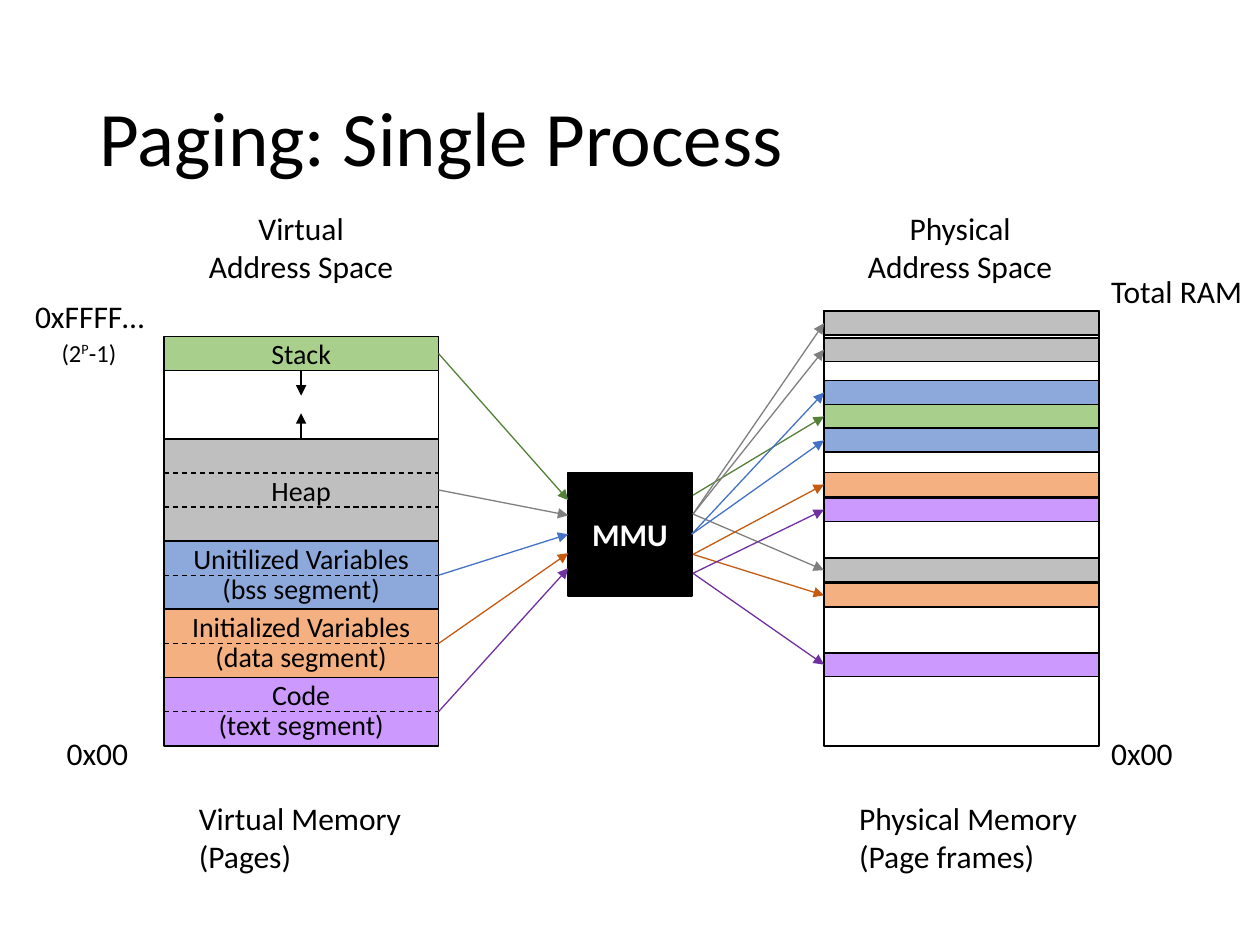
from dataclasses import dataclass
from typing import Optional

from lxml import etree
from pptx import Presentation
from pptx import util as u
from pptx.dml.color import RGBColor
from pptx.enum import dml, shapes, text
from pptx.oxml.ns import qn

BLACK, WHITE = "000000", "FFFFFF"
FONT = "Calibri"
LEFT, RIGHT = 1, 3  # connection sites of a rectangle
VIRTUAL_X, PHYSICAL_X, MEMORY_W = 1.3, 6.54, 2.18
VIRTUAL_TOP, MEMORY_BOTTOM, PAGE_COUNT = 2.67, 5.92, 12
PAGE_H = (MEMORY_BOTTOM - VIRTUAL_TOP) / PAGE_COUNT
PHYSICAL_TOP, FRAME_H = 2.47, 0.19
MMU_X, MMU_Y, MMU_SIZE = 4.51, 3.75, 0.98


@dataclass
class Segment:
    lines: list[str]
    pages: int
    fill: str
    arrow: Optional[str] = None
    entry: float = 0  # height at which its arrow meets the MMU
    exit: float = 0  # height at which its mappings leave the MMU
    frames: tuple[float, ...] = ()  # tops of its page frames


@dataclass
class Label:
    left: float
    top: float
    width: float
    height: float
    lines: list[str]
    size: float = 18
    centred: bool = False


SEGMENTS = [
    Segment(["Stack"], 1, "A8D08C", "548135", 3.97, 3.93, (3.21,)),
    Segment([], 2, WHITE),
    Segment(["Heap"], 3, "BFBFBF", "7F7F7F", 4.09, 4.08, (2.47, 2.68, 4.43)),
    Segment(["Unitilized Variables (bss segment)"], 2, "8DA9DB", "4472C4",
            4.24, 4.24, (3.02, 3.4)),
    Segment(["Initialized Variables", "(data segment)"], 2, "F4B081", "C55A11",
            4.39, 4.4, (3.75, 4.63)),
    Segment(["Code", "(text segment)"], 2, "CC99FF", "7030A0",
            4.51, 4.55, (3.95, 5.18)),
]

LABELS = [
    Label(1.48, 6.29, 1.82, 0.71, ["Virtual Memory", "(Pages)"]),
    Label(6.72, 6.29, 1.95, 0.71, ["Physical Memory", "(Page frames)"]),
    Label(8.72, 5.78, 0.69, 0.4, ["0x00"]),
    Label(8.72, 2.11, 1.25, 0.4, ["Total RAM"]),
    Label(0.18, 2.31, 1.07, 0.4, ["0xFFFF…"]),
    Label(0.43, 5.78, 0.69, 0.4, ["0x00"]),
    Label(1, 1.61, 2.78, 0.71, ["Virtual", "Address Space"], centred=True),
    Label(6.19, 1.61, 2.86, 0.71, ["Physical", "Address Space"], centred=True),
]


def colour(value: str) -> RGBColor:
    return RGBColor.from_string(value)


def write(frame, lines: list[str], size: float, ink: str = BLACK,
          centred: bool = False, spacing: Optional[float] = None,
          bold: bool = False) -> None:
    for index, line in enumerate(lines):
        para = frame.add_paragraph() if index else frame.paragraphs[0]
        para.add_run().text = line
        para.font.name, para.font.size = FONT, u.Pt(size)
        para.font.bold = bold
        para.font.color.rgb = colour(ink)
        para.alignment = text.PP_ALIGN.CENTER if centred else text.PP_ALIGN.LEFT
        para.line_spacing = spacing


def add_block(page, left: float, top: float, width: float, height: float, fill: str):
    block = page.shapes.add_shape(
        shapes.MSO_SHAPE.RECTANGLE, u.Inches(left), u.Inches(top),
        u.Inches(width), u.Inches(height))
    block.shadow.inherit = False
    block.fill.solid()
    block.fill.fore_color.rgb = colour(fill)
    block.line.color.rgb = colour(BLACK)
    block.line.width = u.Pt(1)
    block.text_frame.vertical_anchor = text.MSO_ANCHOR.MIDDLE
    return block


def add_line(page, start: tuple[float, float], end: tuple[float, float],
             ink: str = BLACK, dashed: bool = False):
    line = page.shapes.add_connector(
        shapes.MSO_CONNECTOR.STRAIGHT, u.Inches(start[0]), u.Inches(start[1]),
        u.Inches(end[0]), u.Inches(end[1]))
    line.line.color.rgb = colour(ink)
    line.line.width = u.Pt(0.75)
    if dashed:
        line.line.dash_style = dml.MSO_LINE.DASH
    else:
        etree.SubElement(line.line._get_or_add_ln(), qn("a:tailEnd"), type="triangle")
    etree.SubElement(line._element.spPr, qn("a:effectLst"))
    return line


def add_label(page, label: Label):
    box = page.shapes.add_textbox(u.Inches(label.left), u.Inches(label.top),
                                  u.Inches(label.width), u.Inches(label.height))
    box.text_frame.word_wrap = label.centred
    write(box.text_frame, label.lines, label.size, centred=label.centred)
    return box


def add_mappings(page, segment: Segment, block, mmu) -> None:
    """Draw a segment's page frames and its arrows through the MMU."""
    mmu_right, middle = MMU_X + MMU_SIZE, MMU_Y + MMU_SIZE / 2
    at_middle = abs(segment.entry - middle) < 0.01
    start = (VIRTUAL_X + MEMORY_W, segment.entry)
    inward = add_line(page, start, (MMU_X, segment.entry), segment.arrow)
    inward.begin_connect(block, RIGHT)
    if at_middle:
        inward.end_connect(mmu, LEFT)
    for top in segment.frames:
        frame = add_block(page, PHYSICAL_X, top, MEMORY_W, FRAME_H, segment.fill)
        outward = add_line(page, (mmu_right + 0.01, segment.exit),
                           (PHYSICAL_X, top + FRAME_H / 2), segment.arrow)
        outward.end_connect(frame, LEFT)
        if at_middle:
            outward.begin_connect(mmu, RIGHT)


def main() -> None:
    deck = Presentation()
    deck.slide_width, deck.slide_height = u.Inches(10), u.Inches(7.5)
    page = deck.slides.add_slide(deck.slide_layouts[6])

    # Title
    title = page.shapes.add_textbox(u.Inches(0.69), u.Inches(0.4),
                                    u.Inches(8.73), u.Inches(1.45))
    title.text_frame.word_wrap = True
    title.text_frame.vertical_anchor = text.MSO_ANCHOR.MIDDLE
    write(title.text_frame, ["Paging: Single Process"], 44, spacing=0.9)

    # Physical memory and MMU
    add_block(page, PHYSICAL_X, PHYSICAL_TOP, MEMORY_W,
              MEMORY_BOTTOM - PHYSICAL_TOP, WHITE)
    mmu = add_block(page, MMU_X, MMU_Y, MMU_SIZE, MMU_SIZE, BLACK)
    write(mmu.text_frame, ["MMU"], 18, WHITE, centred=True, bold=True)

    # Virtual memory, stacked from the top
    top = VIRTUAL_TOP
    blocks, dividers = [], []
    for segment in SEGMENTS:
        block = add_block(page, VIRTUAL_X, top, MEMORY_W,
                          segment.pages * PAGE_H, segment.fill)
        spacing = 0.89 if segment.pages == 2 else None
        write(block.text_frame, segment.lines, 16, centred=True, spacing=spacing)
        blocks.append(block)
        if segment.lines:
            dividers += [top + n * PAGE_H for n in range(1, segment.pages)]
        top += segment.pages * PAGE_H

    # Growth of stack and heap
    stack, _, heap = blocks[:3]
    centre = VIRTUAL_X + MEMORY_W / 2
    for block, site, tip in ((stack, 2, 3.14), (heap, 0, 3.28)):
        add_line(page, (centre, tip), (centre, tip)).begin_connect(block, site)

    # Page frames and mappings
    for segment, block in zip(SEGMENTS, blocks):
        if segment.frames:
            add_mappings(page, segment, block, mmu)

    # Labels
    for label in LABELS:
        add_label(page, label)
    limit = add_label(page, Label(0.39, 2.63, 0.65, 0.34, ["(2"], 14))
    para = limit.text_frame.paragraphs[0]
    for part, baseline in (("P", "30000"), ("-1)", "0")):
        span = para.add_run()
        span.text = part
        span.font._element.set("baseline", baseline)

    # Page boundaries inside segments
    for y in dividers:
        add_line(page, (VIRTUAL_X, y), (VIRTUAL_X + MEMORY_W, y), dashed=True)

    deck.save("out.pptx")


if __name__ == "__main__":
    main()
